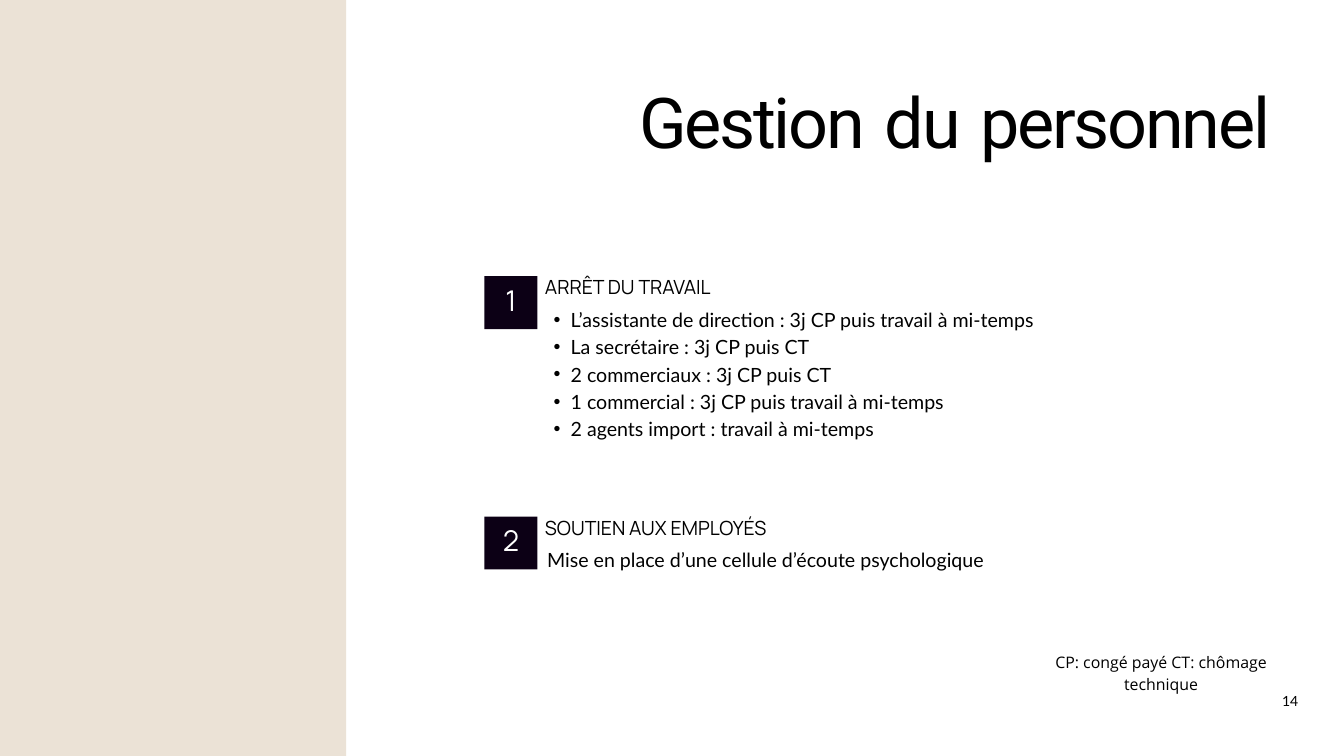
from dataclasses import dataclass

from lxml import etree
from pptx import Presentation
from pptx import util as u
from pptx.dml.color import RGBColor
from pptx.enum import shapes, text
from pptx.oxml.ns import qn


@dataclass(frozen=True)
class Theme:
    sand: str = "EBE2D6"
    night: str = "0C0015"
    black: str = "000000"
    white: str = "FFFFFF"
    title_font: str = "Roboto"
    label_font: str = "Manrope"
    body_font: str = "Lato"
    note_font: str = "Open Sans"
    title: float = 75.1
    number: float = 30.6
    heading: float = 20.9
    body: float = 21
    note: float = 17
    folio: float = 15


class Page:
    def __init__(self, slide, theme):
        self.slide = slide
        self.theme = theme

    def block(self, x, y, width, height, color):
        block = self.slide.shapes.add_shape(
            shapes.MSO_SHAPE.RECTANGLE, u.Cm(x), u.Cm(y), u.Cm(width), u.Cm(height))
        block.shadow.inherit = False
        block.fill.solid()
        block.fill.fore_color.rgb = RGBColor.from_string(color)
        block.line.fill.background()

    def label(self, x, y, width, height, lines, font, size, leading, color=None,
              align=text.PP_ALIGN.LEFT, bullets=False, spacing=None, inset=0,
              anchor=text.MSO_ANCHOR.TOP):
        """Add a text box with one paragraph per line; leading is in points."""
        box = self.slide.shapes.add_textbox(u.Cm(x), u.Cm(y), u.Cm(width), u.Cm(height))
        frame = box.text_frame
        frame.word_wrap = True
        frame.vertical_anchor = anchor
        frame.margin_left = frame.margin_right = u.Cm(inset)
        frame.margin_top = frame.margin_bottom = u.Cm(inset)
        for index, line in enumerate(lines):
            para = frame.add_paragraph() if index else frame.paragraphs[0]
            para.alignment = align
            para.line_spacing = u.Pt(leading)
            if bullets:
                self.bullet(para)
            span = para.add_run()
            span.text = line
            span.font.name = font
            span.font.size = u.Pt(size)
            span.font.color.rgb = RGBColor.from_string(color or self.theme.black)
            if spacing is not None:
                span._r.get_or_add_rPr().set("spc", str(round(spacing * 100)))

    def bullet(self, para):
        para.level = 1
        properties = para._p.get_or_add_pPr()
        properties.set("marL", str(u.Cm(1.27)))
        properties.set("indent", str(-u.Cm(0.64)))
        etree.SubElement(properties, qn("a:buFont")).set("typeface", "Arial")
        etree.SubElement(properties, qn("a:buChar")).set("char", "•")

    def section(self, y, number, heading):
        """Add a numbered square with its heading beside it."""
        theme = self.theme
        self.block(18.31, y, 2, 2, theme.night)
        self.label(18.59, y + 0.35, 1.45, 1.3, [number], theme.label_font, theme.number,
                   33.9, color=theme.white, align=text.PP_ALIGN.CENTER)
        self.label(20.6, y - 0.18, 10, 1.04, [heading], theme.label_font,
                   theme.heading, 29.2)


def main():
    deck = Presentation()
    deck.slide_width, deck.slide_height = u.Cm(50.8), u.Cm(28.58)
    theme = Theme()
    page = Page(deck.slides.add_slide(deck.slide_layouts[6]), theme)

    page.block(0, 0, 13.08, 28.58, theme.sand)
    page.label(24.16, 2.44, 23.77, 3.6, ["Gestion du personnel "], theme.title_font,
               theme.title, 105.2, align=text.PP_ALIGN.JUSTIFY, spacing=-2.5)

    first, second = 10.44, 19.53
    body_drop = 1.04
    page.section(first, "1", "ARRÊT DU TRAVAIL")
    measures = [
        "L’assistante de direction : 3j CP puis travail à mi-temps",
        "La secrétaire : 3j CP puis CT",
        "2 commerciaux : 3j CP puis CT",
        "1 commercial : 3j CP puis travail à mi-temps",
        "2 agents import : travail à mi-temps",
    ]
    page.label(20.3, first + body_drop, 19.58, 6.17, measures, theme.body_font,
               theme.body, 29.4, bullets=True)

    page.section(second, "2", "SOUTIEN AUX EMPLOYÉS")
    page.label(20.68, second + body_drop, 21.13, 1.02,
               ["Mise en place d’une cellule d’écoute psychologique"],
               theme.body_font, theme.body, 29.4)

    page.label(38.43, 24.56, 10.92, 0.79, ["CP: congé payé CT: chômage technique"],
               theme.note_font, theme.note, 23.8, align=text.PP_ALIGN.CENTER)
    page.label(48.18, 25.73, 1.17, 1.4, ["14"], theme.body_font, theme.folio, 21,
               align=text.PP_ALIGN.CENTER, inset=0.15, anchor=text.MSO_ANCHOR.MIDDLE)
    deck.save("out.pptx")


if __name__ == "__main__":
    main()
